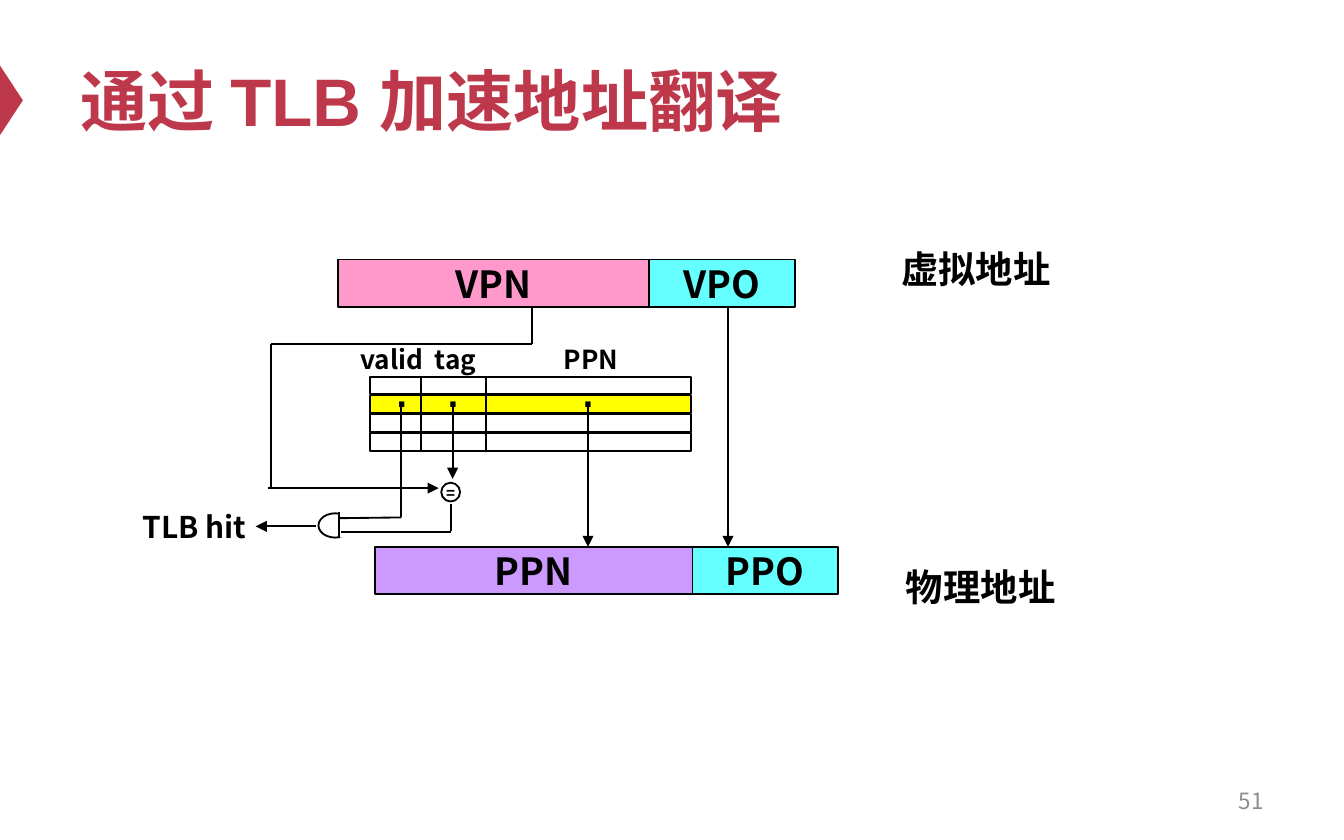
"""Build the slide on speeding up address translation with a TLB."""
from lxml import etree
from pptx import Presentation
from pptx.dml.color import RGBColor
from pptx.enum.shapes import MSO_CONNECTOR, MSO_SHAPE
from pptx.enum.text import MSO_ANCHOR, PP_ALIGN
from pptx.oxml.ns import qn
from pptx.util import Pt

RECT, OVAL, TRIANGLE = MSO_SHAPE.RECTANGLE, MSO_SHAPE.OVAL, MSO_SHAPE.ISOSCELES_TRIANGLE
STRAIGHT = MSO_CONNECTOR.STRAIGHT
TOP, MIDDLE = MSO_ANCHOR.TOP, MSO_ANCHOR.MIDDLE
LEFT, CENTER, RIGHT = PP_ALIGN.LEFT, PP_ALIGN.CENTER, PP_ALIGN.RIGHT
SANS, ARIAL = "Noto Sans CJK SC", "Arial"
BLACK, WHITE, RED, GRAY = "000000", "FFFFFF", "BE384B", "8C8C8C"
PINK, CYAN, PURPLE, YELLOW = "FF99CC", "66FFFF", "CC99FF", "FFFF00"
rgb = RGBColor.from_string


def write(s, text, size, inset=(3, 1.5), align=LEFT, anchor=TOP, font=SANS,
          color=BLACK, bold=True, wrap=False):
    tf = s.text_frame
    tf.margin_left = tf.margin_right = Pt(inset[0])
    tf.margin_top = tf.margin_bottom = Pt(inset[1])
    tf.word_wrap, tf.vertical_anchor = wrap, anchor
    p = tf.paragraphs[0]
    p.text, p.alignment = text, align
    p.font.name, p.font.size, p.font.bold = font, Pt(size), bold
    p.font.color.rgb = rgb(color)
    etree.SubElement(p._p.pPr.find(qn("a:defRPr")), qn("a:ea"), typeface=SANS)
    return p


def draw(kind, x, y, w, h, fill, outlined=True):
    s = slide.shapes.add_shape(kind, Pt(x), Pt(y), Pt(w), Pt(h))
    s.shadow.inherit = False
    s.fill.solid()
    s.fill.fore_color.rgb = rgb(fill)
    if outlined:
        s.line.color.rgb, s.line.width = rgb(BLACK), Pt(1)
    else:
        s.line.fill.background()
    return s


prs = Presentation()
prs.slide_width, prs.slide_height = Pt(720), Pt(450)
slide = prs.slides.add_slide(prs.slide_layouts[5])

draw(TRIANGLE, -13, 47.5, 38, 12.5, RED, False).rotation = 90
title = slide.shapes.title
title.left, title.top, title.width, title.height = Pt(36), Pt(18), Pt(648), Pt(70.5)
write(title, "通过 TLB 加速地址翻译", 36, (7.2, 3.6), anchor=MIDDLE, font=ARIAL, color=RED, wrap=True)

for text, x, y, w, fill in [
    ("VPN", 181.3, 139, 166.5, PINK),
    ("VPO", 347.8, 139, 78, CYAN),
    ("PPN", 200.7, 293, 170.5, PURPLE),
    ("PPO", 371, 293, 78, CYAN),
]:
    write(draw(RECT, x, y, w, 25.3, fill), text, 20, align=CENTER, anchor=MIDDLE)

for row, fill in enumerate([WHITE, YELLOW, WHITE, WHITE]):
    for x, w in [(257.8, 112.3), (223.2, 37.4), (198, 27.4)]:
        draw(RECT, x, 201.8 + 10.1 * row, w, 9.4, fill)

draw(OVAL, 170.6, 275, 18, 13, WHITE)
draw(RECT, 181.4, 274.3, 10.8, 13.7, WHITE, False)
equal = draw(OVAL, 236.4, 258.6, 10.1, 10.1, WHITE)
write(equal, "=", 8.3, (3.6, 1.5), CENTER, MIDDLE, ARIAL)

for x1, y1, x2, y2, arrow in [
    (285, 164.3, 285, 184.5, False),
    (285, 184.5, 145, 184.5, False),
    (145, 184.5, 145, 261.5, False),
    (143.5, 261.5, 235, 261.5, True),
    (390, 164.3, 390, 293, True),
    (315, 217, 315, 293, True),
    (242.5, 216, 242.5, 256.5, True),
    (215, 217, 215, 277.2, False),
    (215, 277.2, 181.5, 277.6, False),
    (241.7, 270, 241.7, 284.5, False),
    (241.7, 285, 182.7, 285, False),
    (181.4, 288, 181.4, 274.3, False),
    (169.3, 282, 137, 282, True),
]:
    c = slide.shapes.add_connector(STRAIGHT, Pt(x1), Pt(y1), Pt(x2), Pt(y2))
    c.line.color.rgb, c.line.width = rgb(BLACK), Pt(1)
    sp = c._element.spPr
    if arrow:
        etree.SubElement(sp.find(qn("a:ln")), qn("a:tailEnd"), type="triangle")
    etree.SubElement(sp, qn("a:effectLst"))

for text, x, y, w, h, size, inset in [
    ("valid", 190, 182.3, 39.8, 20, 14, (3, 1.5)),
    ("tag", 229.8, 182.3, 29.5, 20, 14, (3, 1.5)),
    ("PPN", 299, 182.3, 36.7, 20, 14, (3, 1.5)),
    ("TLB hit", 70.6, 269.3, 69, 25, 16, (6, 3)),
    ("虚拟地址", 476.8, 129, 93, 30, 20, (6, 3)),
    ("物理地址", 479.3, 299, 93, 30, 20, (6, 3)),
]:
    s = slide.shapes.add_textbox(Pt(x), Pt(y), Pt(w), Pt(h))
    write(s, text, size, inset)

for x in (206.5, 234, 306.3):
    s = slide.shapes.add_textbox(Pt(x), Pt(198), Pt(17.3), Pt(28))
    write(s, ".", 20, (6, 3), font=ARIAL, wrap=True).line_spacing = 0.9

s = slide.shapes.add_textbox(Pt(516), Pt(417), Pt(168), Pt(24))
write(s, "51", 12, (7.2, 3.6), RIGHT, MIDDLE, color=GRAY, bold=False, wrap=True)

prs.save("out.pptx")
